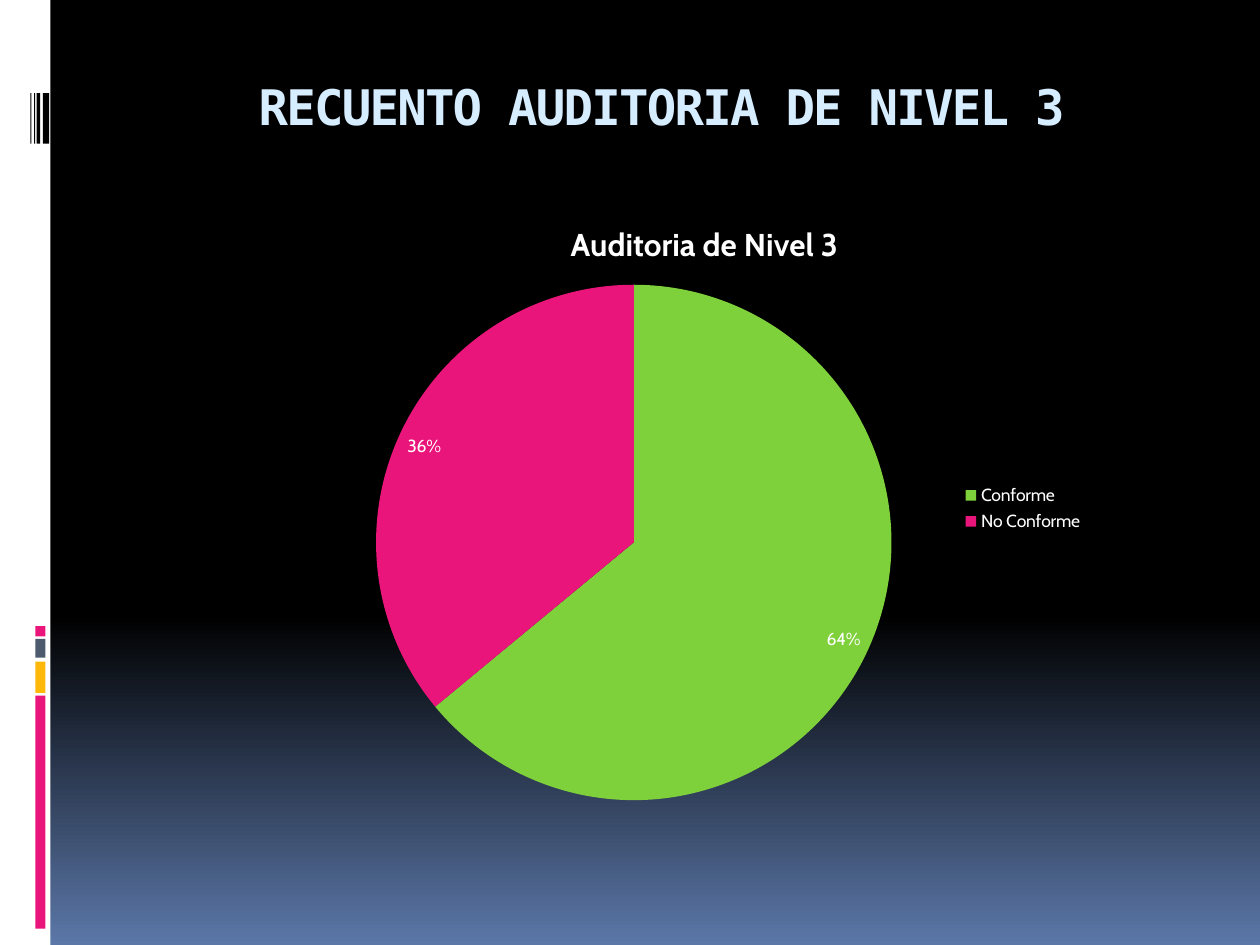
"""Builds the level 3 audit slide with its pie chart of results."""
from dataclasses import dataclass

from lxml import etree
from pptx import Presentation
from pptx import util as u
from pptx.chart.data import CategoryChartData
from pptx.dml.color import RGBColor
from pptx.enum import chart as charts, shapes, text
from pptx.oxml import parse_xml
from pptx.oxml.ns import nsdecls, qn


@dataclass(frozen=True)
class Theme:
    white: str = "FFFFFF"
    black: str = "000000"
    blue: str = "5B77A8"
    slate: str = "4E5B6F"
    pink: str = "EA157A"
    amber: str = "FEB80A"
    green: str = "7FD13B"
    pale: str = "D6ECFF"
    heading_font: str = "DejaVu Sans Mono"
    chart_font: str = "Cabin"
    heading_size: int = 28
    chart_title_size: int = 18
    chart_size: int = 10


def style(font, name, size, color, bold):
    font.name = name
    font.size = u.Pt(size)
    font.color.rgb = RGBColor.from_string(color)
    font.bold = bold


theme = Theme()
deck = Presentation()
deck.slide_width, deck.slide_height = u.Inches(10), u.Inches(7.5)
slide = deck.slides.add_slide(deck.slide_layouts[5])

backdrop = slide.background.fill
backdrop.gradient()
gradient = slide.element.find(".//" + qn("a:gradFill"))
for part in list(gradient):
    gradient.remove(part)
stops = etree.SubElement(gradient, qn("a:gsLst"))
for percent, color in [(0, theme.black), (65, theme.black), (100, theme.blue)]:
    stops.append(parse_xml(
        f'<a:gs {nsdecls("a")} pos="{percent * 1000}"><a:srgbClr val="{color}"/></a:gs>'))
etree.SubElement(gradient, qn("a:lin"), ang="5400000", scaled="0")

side_band = [(0, 0, 0.4, 7.5, theme.white)]
color_blocks = [(0.28, top, 0.08, height, color) for top, height, color in [
    (5.52, 1.85, theme.pink), (5.25, 0.25, theme.amber),
    (5.07, 0.15, theme.slate), (4.97, 0.08, theme.pink)]]
barcode = [(left, 0.74, width, 0.4, theme.black) for left, width in [
    (0.34, 0.05), (0.29, 0.03), (0.27, 0.01), (0.24, 0.01)]]
for left, top, width, height, color in side_band + color_blocks + barcode:
    block = slide.shapes.add_shape(
        shapes.MSO_SHAPE.RECTANGLE,
        u.Inches(left), u.Inches(top), u.Inches(width), u.Inches(height))
    block.shadow.inherit = False
    block.fill.solid()
    block.fill.fore_color.rgb = RGBColor.from_string(color)
    block.line.fill.background()

heading = slide.shapes.title
heading.left, heading.top = u.Inches(1), u.Inches(0.56)
heading.width, heading.height = u.Inches(8.5), u.Inches(1)
heading_frame = heading.text_frame
heading_frame.word_wrap = True
heading_frame.auto_size = text.MSO_AUTO_SIZE.NONE
heading_frame.vertical_anchor = text.MSO_ANCHOR.TOP
heading_line = heading_frame.paragraphs[0]
heading_line.alignment = text.PP_ALIGN.CENTER
heading_words = heading_line.add_run()
heading_words.text = "RECUENTO AUDITORIA DE NIVEL 3"
style(heading_words.font, theme.heading_font, theme.heading_size, theme.pale, True)
heading_words.font._element.set("spc", "-100")

audit = CategoryChartData(number_format="0")
audit.categories = ["Conforme", "No Conforme"]
audit.add_series("Series 1", [64, 36])
pie = slide.shapes.add_chart(
    charts.XL_CHART_TYPE.PIE, u.Inches(2.48), u.Inches(1.57),
    u.Inches(6.22), u.Inches(4.93), audit).chart
style(pie.font, theme.chart_font, theme.chart_size, theme.white, False)

pie.has_title = True
pie_title = pie.chart_title.text_frame.paragraphs[0].add_run()
pie_title.text = "Auditoria de Nivel 3"
style(pie_title.font, theme.chart_font, theme.chart_title_size, theme.white, True)

pie.has_legend = True
pie.legend.position = charts.XL_LEGEND_POSITION.RIGHT
pie.legend.include_in_layout = False

plot = pie.plots[0]
plot.vary_by_categories = True
for index, color in enumerate([theme.green, theme.pink]):
    slice_format = plot.series[0].points[index].format
    slice_format.fill.solid()
    slice_format.fill.fore_color.rgb = RGBColor.from_string(color)
    slice_format.line.fill.background()

plot.has_data_labels = True
labels = plot.data_labels
labels.show_percentage = True
labels.show_value = False
labels.number_format = "0%"
labels.number_format_is_linked = False
labels.position = charts.XL_LABEL_POSITION.INSIDE_END
style(labels.font, theme.chart_font, theme.chart_size, theme.white, False)

plot_area = pie._chartSpace.chart.plotArea
for old_layout in plot_area.findall(qn("c:layout")):
    plot_area.remove(old_layout)
plot_area.insert(0, parse_xml(
    f'<c:layout {nsdecls("c")}><c:manualLayout><c:layoutTarget val="inner"/>'
    '<c:xMode val="edge"/><c:yMode val="edge"/><c:x val="0.08"/><c:y val="0.14"/>'
    '<c:w val="0.66"/><c:h val="0.83"/></c:manualLayout></c:layout>'))

deck.save("out.pptx")
